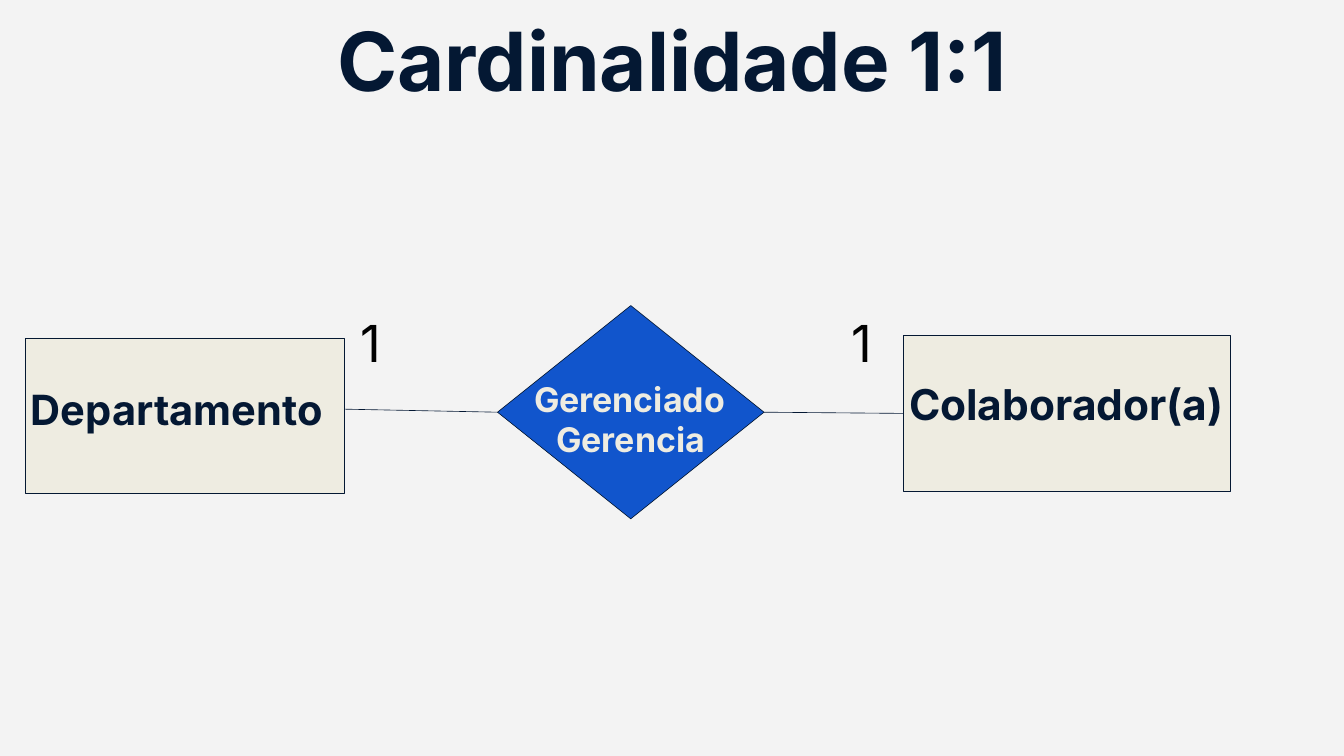
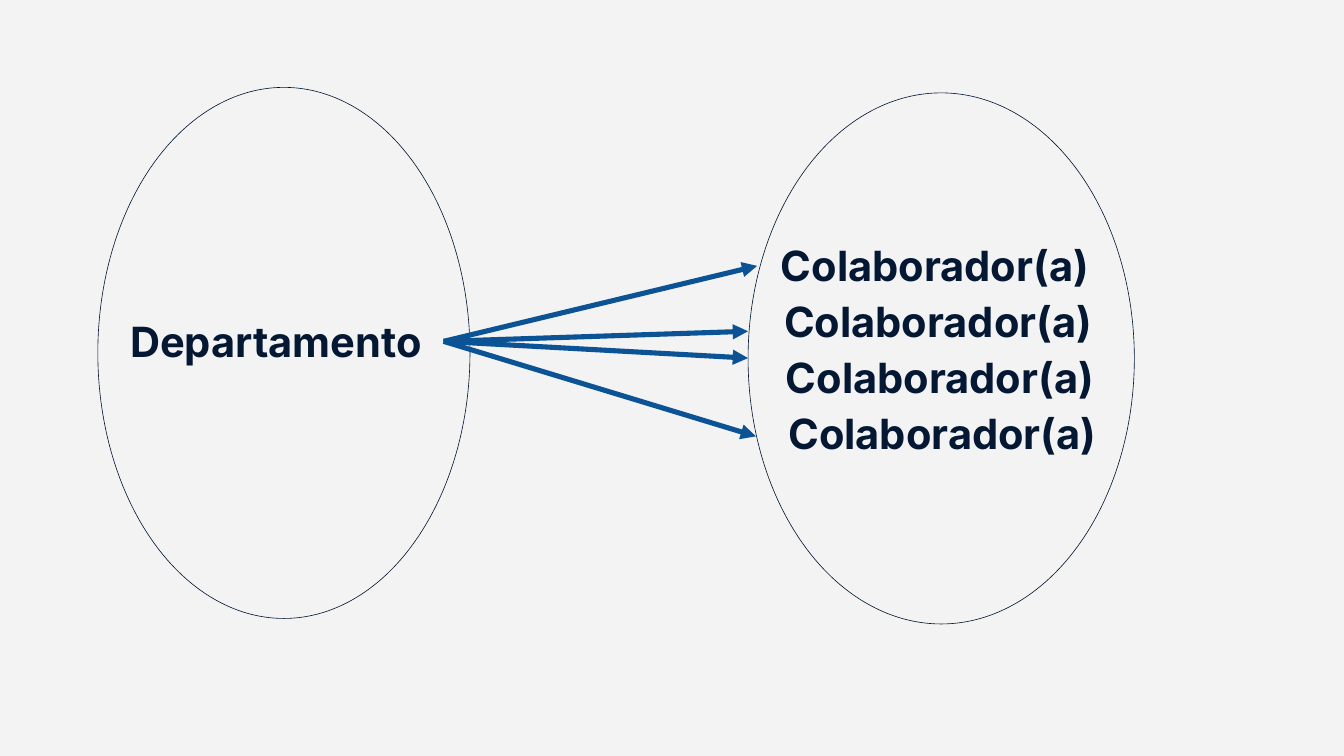
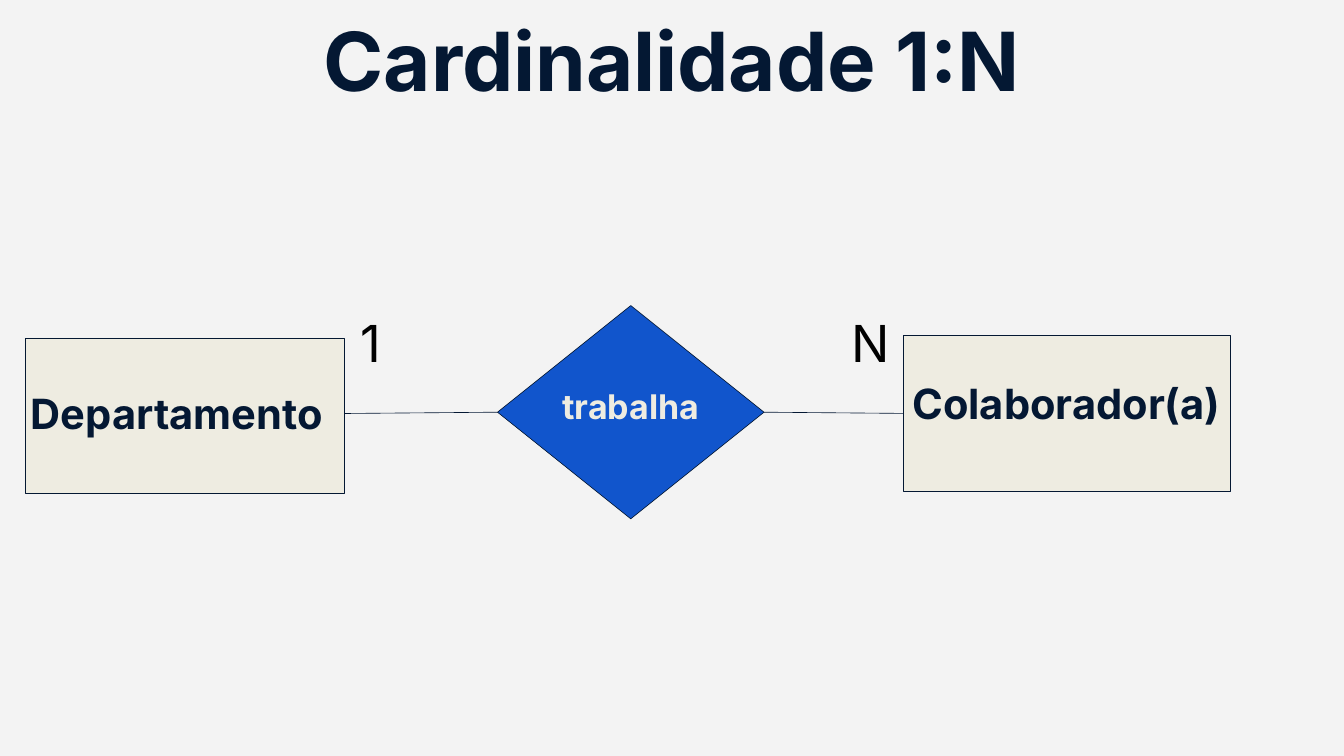
from dataclasses import dataclass
from typing import NamedTuple

from lxml.etree import SubElement as Sub
from pptx import Presentation as Deck
from pptx.dml.color import RGBColor as Rgb
from pptx.enum.shapes import MSO_CONNECTOR as Link, MSO_SHAPE as Form
from pptx.enum.text import MSO_ANCHOR as Anchor, MSO_AUTO_SIZE as Fit, PP_ALIGN as Align
from pptx.oxml.ns import qn
from pptx.util import Inches, Pt


@dataclass(frozen=True)
class Theme:
    """Colours, font and type sizes of the whole deck."""
    back: str = "F3F3F3"
    ink: str = "041833"
    cream: str = "EEECE1"
    blue: str = "1155CC"
    arrow: str = "0B5394"
    black: str = "000000"
    font: str = "Inter"
    head: float = 96
    mark: float = 60
    name: float = 49
    verb: float = 40
    thin: float = 0.75
    thick: float = 6


class Box(NamedTuple):
    """A place on the grid, in columns and rows."""
    x: float
    y: float
    w: float
    h: float


class Spot(NamedTuple):
    x: float
    y: float


@dataclass(frozen=True)
class Model:
    """One entity-relation slide."""
    title: str
    verbs: tuple      # (text, alignment) of each line in the diamond
    verb_y: float
    verb_h: float
    left_y: float     # top of the left name
    right_size: float
    marks: tuple      # cardinality at the left and right end


T = Theme()
WIDE, HIGH = Inches(21.99), Inches(12.37)
GRID = 100            # columns and rows on a slide
LEFT, RIGHT = 1, 3    # connection sites
NAME_W, NAME_H = 23.78, 8.33
STAFF = "Colaborador(a)"
DEPT = "Departamento"


def col(n: float) -> int:
    return round(WIDE * n / GRID)


def row(n: float) -> int:
    return round(HIGH * n / GRID)


def place(box: Box) -> tuple:
    return col(box.x), row(box.y), col(box.w), row(box.h)


def put(shape, *lines, size=T.name, color=T.ink, bold=True,
        align=Align.LEFT, anchor=Anchor.TOP):
    """Fill a shape with lines: plain text, or (text, alignment) pairs."""
    frame = shape.text_frame
    frame.auto_size, frame.word_wrap = Fit.NONE, True
    frame.vertical_anchor = anchor
    frame.margin_left = frame.margin_right = Inches(0.1)
    frame.margin_top = frame.margin_bottom = Inches(0.1)
    for i, line in enumerate(lines):
        words, side = (line, align) if isinstance(line, str) else line
        para = frame.paragraphs[0] if i == 0 else frame.add_paragraph()
        para.alignment = side
        run = para.add_run()
        run.text = words
        font = run.font
        font.name, font.size, font.bold = T.font, Pt(size), bold
        font.color.rgb = Rgb.from_string(color)
    return shape


def label(slide, box: Box, *lines, **style):
    return put(slide.shapes.add_textbox(*place(box)), *lines, **style)


def draw(slide, form: Form, box: Box, fill: str = ""):
    """Draw an outlined shape, hollow when no fill is given."""
    shape = slide.shapes.add_shape(form, *place(box))
    shape.shadow.inherit = False
    if fill:
        shape.fill.solid()
        shape.fill.fore_color.rgb = Rgb.from_string(fill)
    else:
        shape.fill.background()
    shape.line.color.rgb = Rgb.from_string(T.ink)
    shape.line.width = Pt(T.thin)
    return shape


def join(slide, start, end, color=T.ink, width=T.thin, arrow=False):
    """Link the right side of start to a shape's left side or to a spot."""
    line = slide.shapes.add_connector(Link.STRAIGHT, 0, 0, 0, 0)
    line.begin_connect(start, RIGHT)
    if isinstance(end, Spot):
        line.end_x, line.end_y = col(end.x), row(end.y)
    else:
        line.end_connect(end, LEFT)
    line.line.color.rgb = Rgb.from_string(color)
    line.line.width = Pt(width)
    props = line._element.spPr
    if arrow:
        Sub(props.find(qn("a:ln")), qn("a:tailEnd"), type="triangle")
    Sub(props, qn("a:effectLst"))


def add_model(deck, model: Model) -> None:
    slide = deck.slides.add_slide(deck.slide_layouts.get_by_name("Title Only"))

    # Title
    title = slide.shapes.title
    title.left, title.top, title.width, title.height = place(Box(0, 0.57, GRID, 14.71))
    put(title, model.title, size=T.head, align=Align.CENTER)

    # Entities
    draw(slide, Form.RECTANGLE, Box(1.86, 44.7, NAME_W, 20.61), T.cream)
    dept = label(slide, Box(1.86, model.left_y, NAME_W, NAME_H), DEPT)
    staff = draw(slide, Form.RECTANGLE, Box(67.21, 44.38, 24.33, 20.61), T.cream)
    label(slide, Box(65.98, 49.15, 26.74, NAME_H), STAFF,
          size=model.right_size, align=Align.CENTER)

    # Relation
    gem = draw(slide, Form.FLOWCHART_DECISION, Box(37.02, 40.42, 19.83, 28.21), T.blue)
    label(slide, Box(39.29, model.verb_y, 15.28, model.verb_h), *model.verbs,
          size=T.verb, color=T.cream, anchor=Anchor.MIDDLE)
    join(slide, dept, gem)
    join(slide, gem, staff)

    # Cardinality marks
    for x, mark in zip((26.38, 62.94), model.marks):
        label(slide, Box(x, 40.42, 3.91, 9.78), mark,
              size=T.mark, color=T.black, bold=False)


def add_sets(deck) -> None:
    slide = deck.slides.add_slide(deck.slide_layouts.get_by_name("Blank"))

    # Sets and their members
    draw(slide, Form.OVAL, Box(7.28, 11.56, 27.69, 70.25))
    dept = label(slide, Box(9.23, 40.99, NAME_W, NAME_H), DEPT)
    draw(slide, Form.OVAL, Box(55.66, 12.29, 28.74, 70.25))
    for i, x in enumerate((57.66, 57.89, 58.03, 58.21)):
        label(slide, Box(x, 30.96 + 7.41 * i, 27.15, NAME_H), STAFF)

    # One department to many members
    for end in (Spot(55.66, 47.37), Spot(56.25, 57.72),
                Spot(55.66, 43.82), Spot(56.34, 35.17)):
        join(slide, dept, end, color=T.arrow, width=T.thick, arrow=True)


def main() -> None:
    deck = Deck()
    deck.slide_width, deck.slide_height = WIDE, HIGH
    back = deck.slide_master.background.fill
    back.solid()
    back.fore_color.rgb = Rgb.from_string(T.back)

    add_model(deck, Model(
        "Cardinalidade 1:1",
        (("Gerenciado", Align.LEFT), ("Gerencia", Align.CENTER)),
        verb_y=49.15, verb_h=12.53, left_y=49.96, right_size=50, marks=("1", "1")))
    add_sets(deck)
    add_model(deck, Model(
        "Cardinalidade 1:N", (("trabalha", Align.CENTER),),
        verb_y=50.2, verb_h=7.11, left_y=50.53, right_size=T.name, marks=("1", "N")))
    deck.save("out.pptx")


if __name__ == "__main__":
    main()
